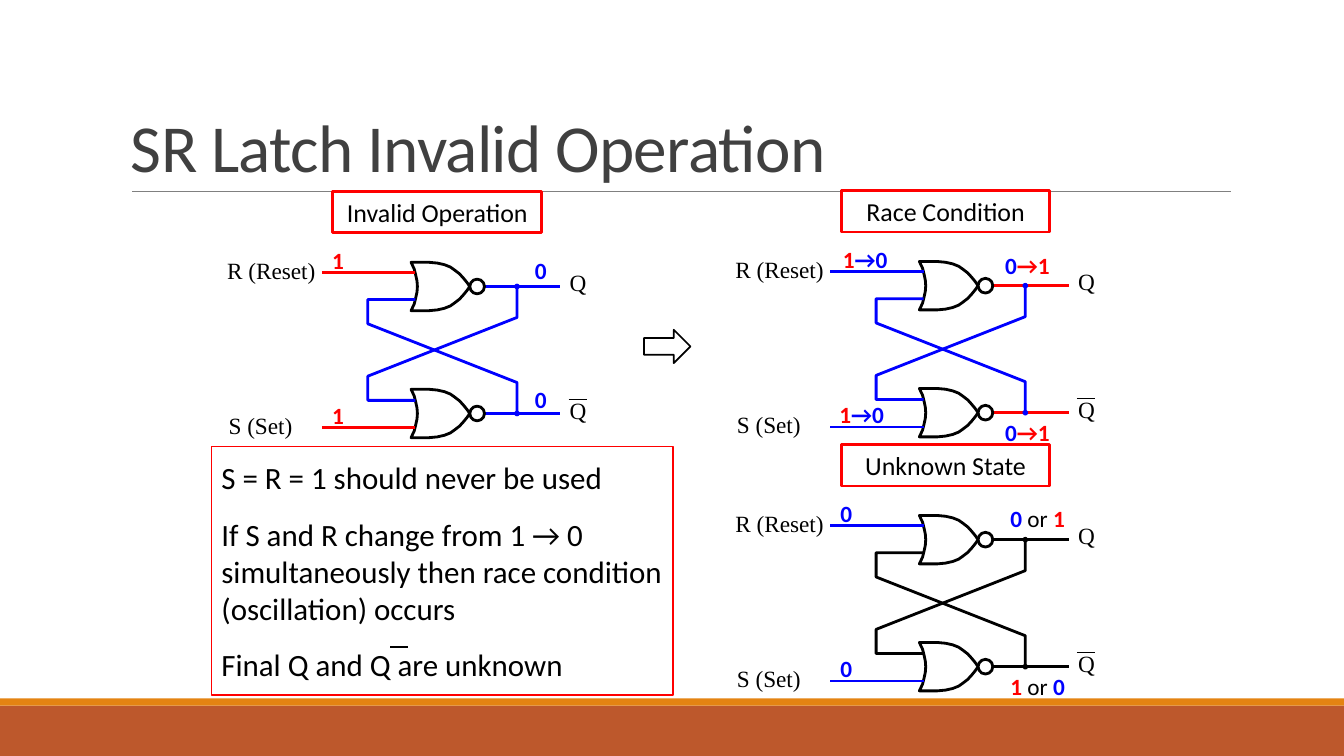
from lxml import etree
from pptx import Presentation
from pptx.dml.color import RGBColor
from pptx.enum.shapes import MSO_CONNECTOR, MSO_SHAPE
from pptx.enum.text import MSO_ANCHOR, MSO_AUTO_SIZE, PP_ALIGN
from pptx.oxml.ns import qn
from pptx.util import Cm, Pt

COLORS = {"black": "000000", "white": "FFFFFF", "red": "FF0000", "blue": "0000FF",
          "title": "404040", "rule": "808080", "orange": "E48312", "rust": "BD582C"}
SERIF = "Times New Roman"
SANS = "Calibri"

# Latch geometry in cm, measured from the top left corner of a latch
GATE_LEFT, GATE_TOP, GATE_HEIGHT, GATE_PITCH = 4.67, 1.78, 1.22, 3.2
GATE_BACK = [(0, 0), (0.08, 0.17), (0.12, 0.33), (0.15, 0.47), (0.16, 0.61)]
GATE_FRONT = [(0.45, 0), (0.66, 0.02), (0.84, 0.06), (0.99, 0.12), (1.09, 0.19),
              (1.22, 0.29), (1.32, 0.4), (1.41, 0.51), (1.48, 0.61)]
BUBBLE = 0.37
FEEDBACK = [(7.34, 2.39), (7.34, 3.17), (3.58, 4.65), (3.58, 5.26), (4.78, 5.26)]
LATCH_MIRROR = 2 * GATE_TOP + GATE_PITCH + GATE_HEIGHT
LABEL_HEIGHT = 0.74


def rgb(name):
    return RGBColor.from_string(COLORS[name])


def style(shape, fill=None, line=None, weight=2):
    shape.shadow.inherit = False
    if fill:
        shape.fill.solid()
        shape.fill.fore_color.rgb = rgb(fill)
    else:
        shape.fill.background()
    if line:
        shape.line.color.rgb = rgb(line)
        shape.line.width = Pt(weight)
    else:
        shape.line.fill.background()


def write(frame, paragraphs, size=16.6, font=SANS, align=PP_ALIGN.CENTER, anchor=MSO_ANCHOR.MIDDLE,
          inset=0, wrap=False, before=0):
    """Fill a text frame with paragraphs, each a list of (text, colour, bold) runs."""
    frame.word_wrap = wrap
    frame.auto_size = MSO_AUTO_SIZE.NONE
    frame.vertical_anchor = anchor
    frame.margin_left = frame.margin_right = Cm(inset)
    frame.margin_top = frame.margin_bottom = Cm(inset / 2)
    for index, runs in enumerate(paragraphs):
        paragraph = frame.add_paragraph() if index else frame.paragraphs[0]
        paragraph.alignment = align
        paragraph.space_before = Pt(before)
        for text, color, bold in runs:
            run = paragraph.add_run()
            run.text = text
            run.font.size, run.font.name, run.font.bold = Pt(size), font, bold
            run.font.color.rgb = rgb(color)


def add_label(slide, left, top, width, runs, **text_format):
    box = slide.shapes.add_textbox(Cm(left), Cm(top), Cm(width), Cm(LABEL_HEIGHT))
    write(box.text_frame, [runs], **text_format)


def add_box(slide, kind, left, top, width, height, **look):
    shape = slide.shapes.add_shape(kind, Cm(left), Cm(top), Cm(width), Cm(height))
    style(shape, **look)
    return shape


def add_line(slide, left, top, right, color, weight=2):
    """Draw a horizontal line."""
    line = slide.shapes.add_connector(MSO_CONNECTOR.STRAIGHT, Cm(left), Cm(top), Cm(right), Cm(top))
    line.line.color.rgb = rgb(color)
    line.line.width = Pt(weight)
    etree.SubElement(line._element.spPr, qn("a:effectLst"))


def add_outline(slide, left, top, points, color, close=False):
    places = [(Cm(left + x), Cm(top + y)) for x, y in points]
    builder = slide.shapes.build_freeform(*places[0])
    builder.add_line_segments(places[1:], close=close)
    shape = builder.convert_to_shape()
    style(shape, line=color)
    return shape


def mirror(points, total):
    """Flip points vertically; total is the sum of a height and its mirrored height."""
    return [(x, total - y) for x, y in points]


def add_nor_gate(slide, left, top):
    outline = (GATE_BACK + mirror(GATE_BACK, GATE_HEIGHT)[-2::-1]
               + mirror(GATE_FRONT, GATE_HEIGHT) + GATE_FRONT[-2::-1])
    add_outline(slide, left, top, outline, "black", close=True)
    add_box(slide, MSO_SHAPE.OVAL, left + GATE_FRONT[-1][0], top + (GATE_HEIGHT - BUBBLE) / 2,
            BUBBLE, BUBBLE, fill="white", line="black")


def add_latch(slide, left, top, caption, input_color, output_color, feedback_color, values):
    """values lists (left, top, width, runs) for the logic levels written on the wires."""
    for gate_top in (GATE_TOP, GATE_TOP + GATE_PITCH):
        output_y = top + gate_top + GATE_HEIGHT / 2
        add_line(slide, left + 6.53, output_y, left + 8.43, output_color)
        add_nor_gate(slide, left + GATE_LEFT, top + gate_top)
    for input_y in (2.03, LATCH_MIRROR - 2.03):
        add_line(slide, left + 2.42, top + input_y, left + 4.78, input_color)
    for points in (FEEDBACK, mirror(FEEDBACK, LATCH_MIRROR)):
        wire = add_outline(slide, left, top, points, feedback_color)
        etree.SubElement(wire.line._get_or_add_ln(), qn("a:headEnd"), type="oval", w="sm", len="sm")

    for x, y, width, text in [(0, 1.6, 2.29, "R (Reset)"), (0, 5.51, 1.75, "S (Set)"),
                              (8.59, 1.9, 0.58, "Q"), (8.59, 5.13, 0.58, "Q")]:
        add_label(slide, left + x, top + y, width, [(text, "black", False)], font=SERIF)
    add_line(slide, left + 8.64, top + 5.23, left + 9.1, "black", 1)
    for x, y, width, runs in values:
        add_label(slide, left + x, top + y, width, runs)

    box = add_box(slide, MSO_SHAPE.RECTANGLE, left + 2.7, top, 5.26, 1.04, line="red")
    write(box.text_frame, [[(caption, "black", False)]], size=18.5)


def add_note(slide, left, top, width, height):
    box = add_box(slide, MSO_SHAPE.RECTANGLE, left, top, width, height, line="red", weight=1.25)
    lines = ["S = R = 1 should never be used",
             "If S and R change from 1 → 0 simultaneously then race condition (oscillation) occurs",
             "Final Q and Q are unknown"]
    write(box.text_frame, [[(line, "black", False)] for line in lines], size=22.1,
          align=PP_ALIGN.LEFT, inset=0.25, wrap=True, before=13.8)
    add_line(slide, left + 4.5, top + 5.05, left + 4.95, "black", 1.5)


def add_frame(slide, width, height):
    """Place the footer bands, the title and the rule below it."""
    add_box(slide, MSO_SHAPE.RECTANGLE, 0, height - 1.27, width, 1.27, fill="rust")
    add_box(slide, MSO_SHAPE.RECTANGLE, 0, height - 1.45, width, 0.18, fill="orange")
    add_line(slide, 3.33, 4.83, 31.01, "rule", 0.5)
    title = slide.shapes.title
    title.left, title.top, title.width, title.height = Cm(3.05), Cm(0.79), Cm(27.94), Cm(4.04)
    write(title.text_frame, [[("SR Latch Invalid Operation", "title", False)]], size=48,
          align=PP_ALIGN.LEFT, anchor=MSO_ANCHOR.BOTTOM, inset=0.25, wrap=True)
    paragraph = title.text_frame.paragraphs[0]
    paragraph.line_spacing = 0.85
    paragraph.runs[0].font._element.set("spc", "-50")


def main():
    presentation = Presentation()
    presentation.slide_width, presentation.slide_height = Cm(33.87), Cm(19.05)
    slide = presentation.slides.add_slide(presentation.slide_layouts[5])
    add_frame(slide, 33.87, 19.05)

    one, zero = [("1", "red", True)], [("0", "blue", True)]
    fall = one + [("→0", "blue", True)]
    rise = zero + [("→1", "red", True)]
    zero_or_one = [("0 ", "blue", True), ("or ", "black", False), ("1", "red", True)]
    one_or_zero = [("1 ", "red", True), ("or", "black", False), (" 0", "blue", True)]

    add_latch(slide, 5.69, 4.83, "Invalid Operation", "red", "blue", "blue",
              [(2.54, 1.35, 0.58, one), (2.54, 5.26, 0.58, one),
               (7.65, 1.6, 0.58, zero), (7.65, 4.85, 0.58, zero)])
    add_latch(slide, 18.5, 4.81, "Race Condition", "blue", "red", "blue",
              [(2.54, 1.35, 1.52, fall), (2.54, 5.26, 1.35, fall),
               (6.63, 1.5, 1.52, rise), (6.63, 5.72, 1.52, rise)])
    add_latch(slide, 18.5, 11.21, "Unknown State", "blue", "black", "black",
              [(2.54, 1.35, 0.58, zero), (2.54, 5.26, 0.58, zero),
               (6.81, 1.47, 1.68, zero_or_one), (6.81, 5.72, 1.68, one_or_zero)])
    add_box(slide, MSO_SHAPE.RIGHT_ARROW, 16.23, 8.31, 1.17, 0.84,
            fill="white", line="black", weight=1.25)
    add_note(slide, 5.33, 11.25, 11.63, 6.27)
    presentation.save("out.pptx")


if __name__ == "__main__":
    main()
